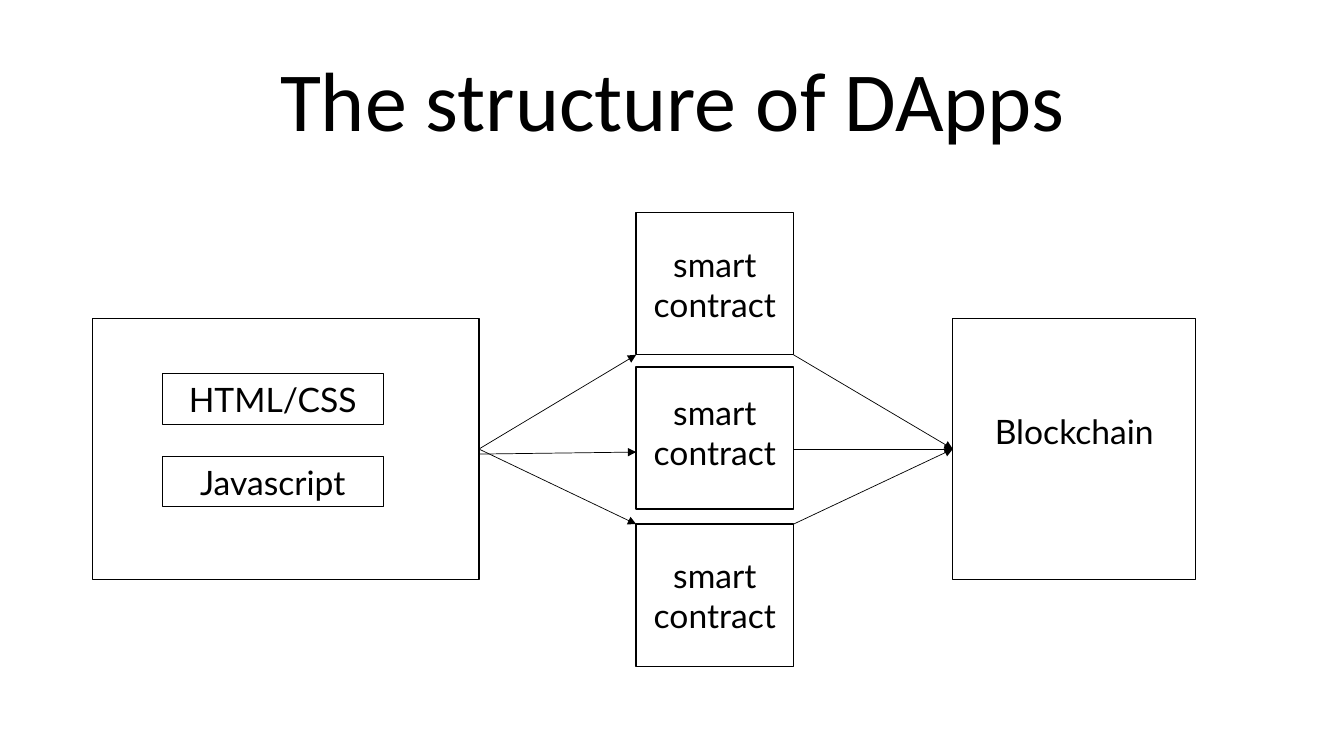
import pptx
import pptx.dml.color
import pptx.enum.shapes
import pptx.enum.text
import pptx.oxml
import pptx.oxml.ns
import pptx.util

Inches = pptx.util.Inches
RIGHT, LEFT = 3, 1


def color(hex_string):
    return pptx.dml.color.RGBColor.from_string(hex_string)


def write_text(shape, text, size=24, font="Lato", fill="000000",
               line_spacing=None, bottom_inset=0.05):
    frame = shape.text_frame
    frame.word_wrap = True
    frame.auto_size = pptx.enum.text.MSO_AUTO_SIZE.NONE
    frame.vertical_anchor = pptx.enum.text.MSO_ANCHOR.MIDDLE
    frame.margin_bottom = Inches(bottom_inset)
    paragraph = frame.paragraphs[0]
    paragraph.alignment = pptx.enum.text.PP_ALIGN.CENTER
    paragraph.line_spacing = line_spacing
    run = paragraph.add_run()
    run.text = text
    run.font.size = pptx.util.Pt(size)
    run.font.name = font
    run.font.color.rgb = color(fill)


def add_box(slide, left, top, width, height, line_width=1):
    shape = slide.shapes.add_shape(
        pptx.enum.shapes.MSO_SHAPE.RECTANGLE,
        Inches(left), Inches(top), Inches(width), Inches(height))
    shape.shadow.inherit = False
    shape.fill.background()
    shape.line.color.rgb = color("000000")
    shape.line.width = pptx.util.Pt(line_width)
    return shape


def add_arrow(slide, start, end, source=None, target=None):
    """Draw an arrow, joined to the source's right or target's left side if given."""
    connector = slide.shapes.add_connector(
        pptx.enum.shapes.MSO_CONNECTOR.STRAIGHT,
        *(Inches(length) for length in (*start, *end)))
    if source is not None:
        connector.begin_connect(source, RIGHT)
    if target is not None:
        connector.end_connect(target, LEFT)
    connector.line.color.rgb = color("000000")
    connector.line.width = pptx.util.Pt(0.5)
    line = connector.line._get_or_add_ln()
    line.append(pptx.oxml.parse_xml(
        f'<a:tailEnd {pptx.oxml.ns.nsdecls("a")} type="triangle"/>'))
    connector._element.spPr.append(pptx.oxml.parse_xml(
        f'<a:effectLst {pptx.oxml.ns.nsdecls("a")}/>'))


def add_title(slide, left, top, width, height):
    title = slide.shapes.title
    title.left, title.top = Inches(left), Inches(top)
    title.width, title.height = Inches(width), Inches(height)
    write_text(title, "The structure of DApps", size=60, font="Calibri",
               line_spacing=0.9)


def add_frontend(slide, left, top, width, height):
    frontend = add_box(slide, left, top, width, height)
    for row, label in enumerate(("HTML/CSS", "Javascript")):
        layer = add_box(slide, left + 0.69, top + 0.55 + row * 0.82,
                        2.19, 0.5, line_width=0.75)
        write_text(layer, label)
    return frontend


def add_contracts(slide, left, tops, width, height):
    # The middle label sits slightly above the centre of its box
    for top, bottom_inset in zip(tops, (0.05, 0.17, 0.05)):
        contract = add_box(slide, left, top, width, height)
        write_text(contract, "smart contract", bottom_inset=bottom_inset)


def add_blockchain(slide, left, top, width, height):
    blockchain = add_box(slide, left, top, width, height)
    write_text(blockchain, "Blockchain", bottom_inset=0.4)
    return blockchain


def add_structure(slide, left, top):
    height = 2.59
    middle = top + height / 2
    frontend_right = left + 3.83
    contract_left, contract_width, contract_height = left + 5.39, 1.56, 1.41
    contract_right = contract_left + contract_width
    blockchain_left = left + 8.53
    contract_tops = (top - 1.05, top + 0.48, top + 2.04)

    frontend = add_frontend(slide, left, top, 3.83, height)
    add_contracts(slide, contract_left, contract_tops,
                  contract_width, contract_height)
    blockchain = add_blockchain(slide, blockchain_left, top, 2.41, height)

    # Outer arrows meet the nearest corners of the outer contracts
    upper = contract_tops[0] + contract_height
    lower = contract_tops[2]
    for corner in (upper, lower):
        add_arrow(slide, (frontend_right, middle), (contract_left, corner),
                  source=frontend)
    add_arrow(slide, (frontend_right, middle + 0.05),
              (contract_left, middle + 0.03))
    for level in (upper, middle, lower):
        add_arrow(slide, (contract_right, level), (blockchain_left, middle),
                  target=blockchain)


def main():
    presentation = pptx.Presentation()
    presentation.slide_width = Inches(13.33)
    presentation.slide_height = Inches(7.5)
    slide = presentation.slides.add_slide(presentation.slide_layouts[5])
    add_title(slide, 0.46, 0.31, 12.42, 1.45)
    add_structure(slide, 0.92, 3.16)
    presentation.save("out.pptx")


if __name__ == "__main__":
    main()
